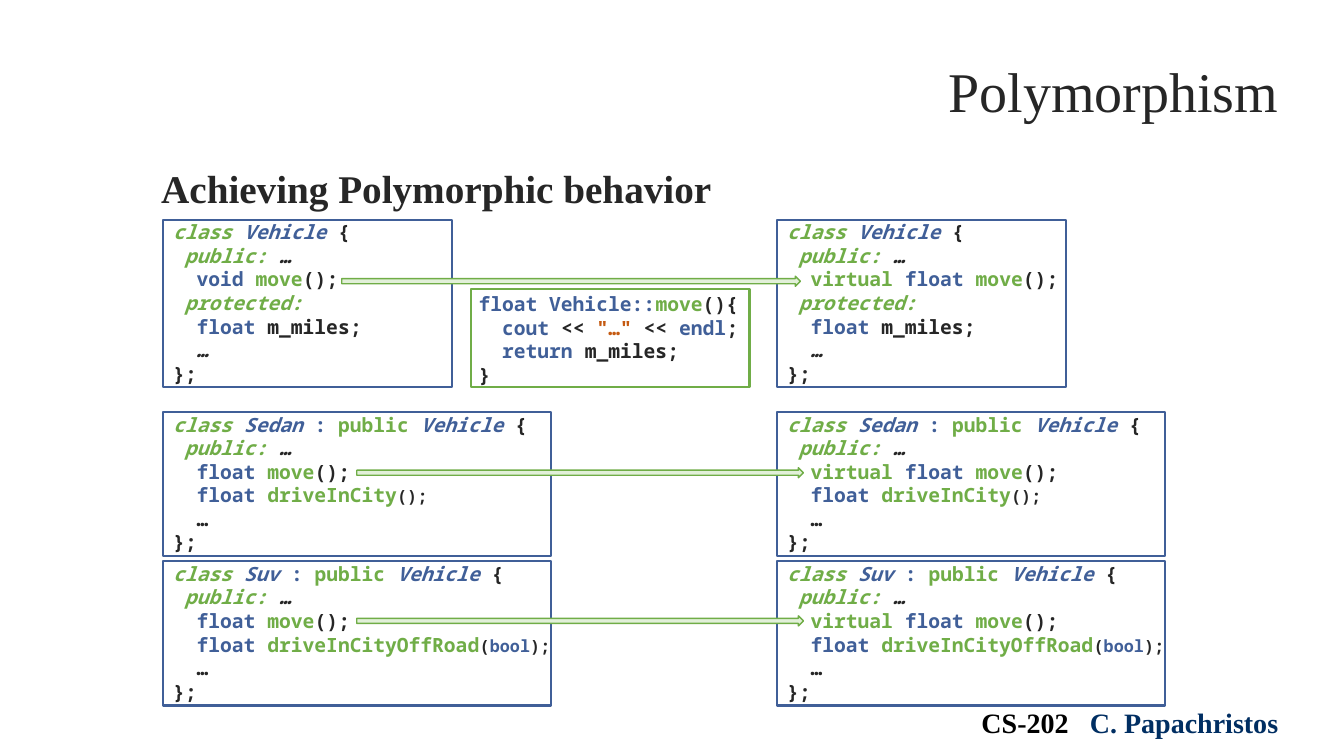
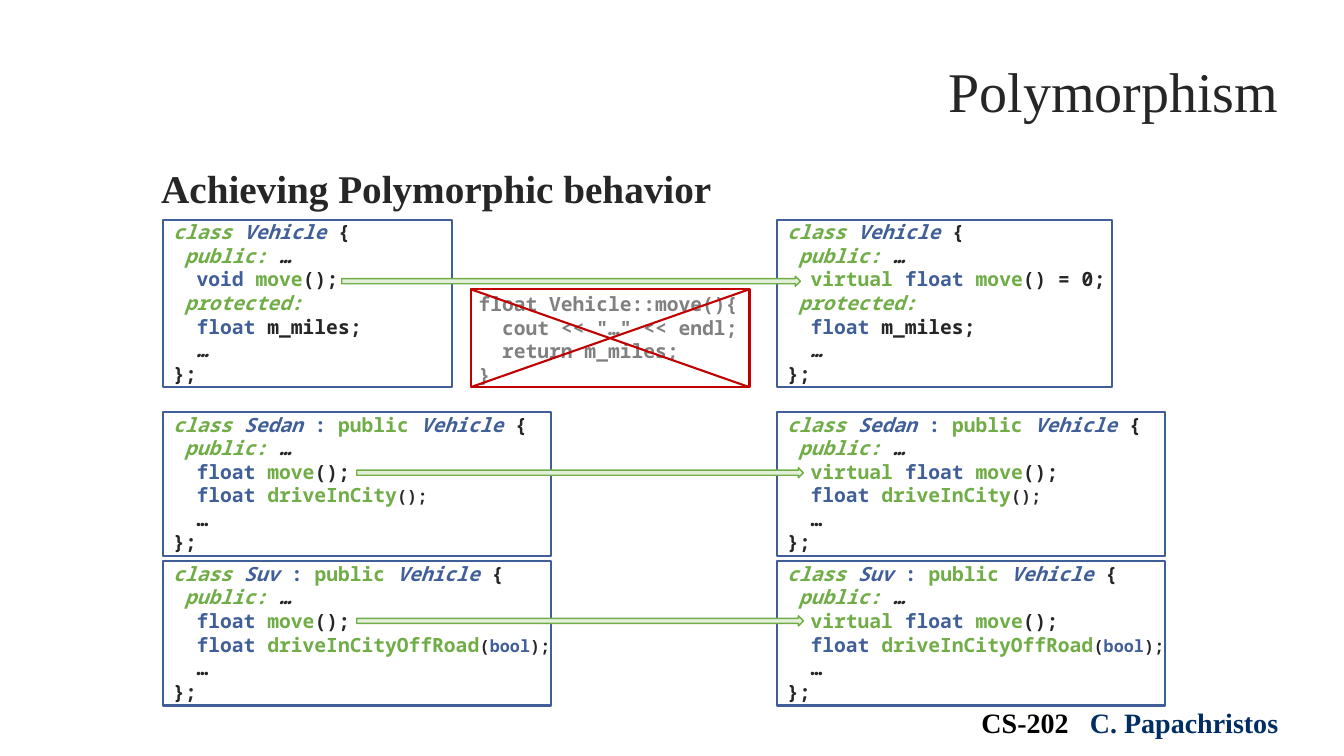
"""Build two slides on achieving polymorphic behavior in C++."""
from dataclasses import dataclass

from lxml import etree
from pptx import Presentation
from pptx.dml.color import RGBColor
from pptx.enum.shapes import MSO_CONNECTOR, MSO_SHAPE
from pptx.enum.text import MSO_ANCHOR, MSO_AUTO_SIZE, PP_ALIGN
from pptx.oxml.ns import qn
from pptx.util import Pt

RECT, ARROW = MSO_SHAPE.RECTANGLE, MSO_SHAPE.RIGHT_ARROW
STRAIGHT = MSO_CONNECTOR.STRAIGHT
LEFT, CENTER, RIGHT = PP_ALIGN.LEFT, PP_ALIGN.CENTER, PP_ALIGN.RIGHT
TOP, BOTTOM = MSO_ANCHOR.TOP, MSO_ANCHOR.BOTTOM
NO_AUTOFIT = MSO_AUTO_SIZE.NONE
TITLE_ONLY = 5


@dataclass(frozen=True)
class Theme:
    """Colours, fonts and type sizes of the deck."""
    dark: str = "262626"
    black: str = "000000"
    navy: str = "002E62"
    blue: str = "405F98"
    green: str = "70AD47"
    pale_green: str = "E2F0D9"
    orange: str = "C55A11"
    gray: str = "808080"
    red: str = "C00000"
    serif: str = "Times New Roman"
    mono: str = "Noto Sans Mono"
    title: int = 40
    heading: int = 28
    footer: int = 20
    code: int = 14
    small: int = 12
    code_pitch: float = 16.8


T = Theme()


def text_style(color, name=T.mono, size=T.code, bold=True, italic=False):
    """Return a text colour together with its font attributes."""
    return color, dict(name=name, size=Pt(size), bold=bold, italic=italic)


STYLES = {
    "title": text_style(T.dark, T.serif, T.title, bold=False),
    "heading": text_style(T.dark, T.serif, T.heading),
    "course": text_style(T.black, T.serif, T.footer),
    "author": text_style(T.navy, T.serif, T.footer),
    "plain": text_style(T.dark),
    "plain italic": text_style(T.dark, italic=True),
    "plain small": text_style(T.dark, size=T.small),
    "blue": text_style(T.blue),
    "blue italic": text_style(T.blue, italic=True),
    "blue small": text_style(T.blue, size=T.small),
    "green": text_style(T.green),
    "green italic": text_style(T.green, italic=True),
    "string": text_style(T.orange),
    "faded": text_style(T.gray),
}

COLUMN_LEFT, COLUMN_RIGHT = 116.6, 555.1
CODE_WIDTH = 285
TEXT_RISE = 3.2
BOX_LINE, ARROW_LINE = 1.5, 1
POPUP = (336.2, 206.6, 199.2, 70)


@dataclass(frozen=True)
class ClassRow:
    """One class, shown before and after the change."""
    name: str
    top: float
    width: float
    height: float
    arrow: tuple
    members: tuple = ()


ROWS = (
    ClassRow("Vehicle", 157, 206.6, 119.5, (244.1, 197.3, 327.6)),
    ClassRow("Sedan", 294.5, 277.2, 103, (254.9, 334.1, 319),
             (("green", "driveInCity"), ("plain small", "();"))),
    ClassRow("Suv", 401, 277.2, 103, (254.9, 439.9, 319),
             (("green", "driveInCityOffRoad"), ("plain small", "("),
              ("blue small", "bool"), ("plain small", ");"))),
)

MOVE_BODY = (
    (("blue", "float Vehicle::"), ("green", "move"), ("plain", "(){")),
    (("blue", "  cout"), ("plain", " << "), ("string", '"…" '),
     ("plain", "<< "), ("blue", "endl"), ("plain", ";")),
    (("blue", "  return "), ("plain", "m_miles;")),
    (("plain", "}"),),
)


def class_code(row, declaration, ending="();"):
    """Return the code lines of a class with the given move() declaration."""
    head = [("green italic", "class "), ("blue italic", row.name + " ")]
    if row.members:
        head += [("blue", ": "), ("green", "public"), ("blue italic", " Vehicle ")]
        rest = [[("blue", "  float "), *row.members], [("plain", "  …")]]
    else:
        rest = [[("green italic", " protected:")],
                [("blue", "  float "), ("plain", "m_miles;")],
                [("plain italic", "  …")]]
    return [
        head + [("plain", "{")],
        [("green italic", " public: "), ("plain italic", "…")],
        [*declaration, ("green", "move"), ("plain", ending)],
        *rest,
        [("plain", "};")],
    ]


def write(shape, lines, align=LEFT, anchor=TOP, pitch=None):
    """Fill a shape with lines of styled runs."""
    tf = shape.text_frame
    settings = dict(word_wrap=True, auto_size=NO_AUTOFIT, vertical_anchor=anchor)
    for key, value in settings.items():
        setattr(tf, key, value)
    for i, line in enumerate(lines):
        p = tf.paragraphs[0] if i == 0 else tf.add_paragraph()
        p.alignment = align
        if pitch:
            p.line_spacing = Pt(pitch)
        for style, text in line:
            r = p.add_run()
            r.text = text
            color, font = STYLES[style]
            r.font.color.rgb = RGBColor.from_string(color)
            for key, value in font.items():
                setattr(r.font, key, value)


def add_text(s, box, lines, **layout):
    """Add a text box."""
    tb = s.shapes.add_textbox(*map(Pt, box))
    write(tb, lines, **layout)
    return tb


def add_code(s, left, top, width, lines):
    """Add a block of code with fixed line pitch."""
    height = len(lines) * T.code_pitch + 7.2
    tb = add_text(s, (left, top, width, height), lines, pitch=T.code_pitch)
    tb.text_frame.margin_right = 0


def add_outline(s, kind, box, color, weight, fill=None):
    """Add an outlined preset shape, filled only on request."""
    sp = s.shapes.add_shape(kind, *map(Pt, box))
    sp.shadow.inherit = False
    sp.line.color.rgb = RGBColor.from_string(color)
    sp.line.width = Pt(weight)
    if fill:
        sp.fill.solid()
        sp.fill.fore_color.rgb = RGBColor.from_string(fill)
    else:
        sp.fill.background()


def add_line(s, x1, y1, x2, y2, color):
    """Add a straight line without a shadow."""
    line = s.shapes.add_connector(STRAIGHT, *map(Pt, (x1, y1, x2, y2)))
    line.line.color.rgb = RGBColor.from_string(color)
    line.line.width = Pt(BOX_LINE)
    etree.SubElement(line._element.spPr, qn("a:effectLst"))


def add_class(s, row, left, width, lines):
    """Add the code of a class inside its frame."""
    add_code(s, left, row.top - TEXT_RISE, CODE_WIDTH, lines)
    add_outline(s, RECT, (left, row.top, width, row.height), T.blue, BOX_LINE)


def add_frame(prs):
    """Add a slide with its title, heading and footer."""
    s = prs.slides.add_slide(prs.slide_layouts[TITLE_ONLY])
    title = s.shapes.title
    title.left, title.top, title.width, title.height = map(Pt, (76.3, 41, 843.8, 51.1))
    write(title, [[("title", "Polymorphism")]], align=RIGHT, anchor=BOTTOM)
    add_text(s, (683.3, 500.4, 247.7, 31.7),
             [[("course", "CS-202   "), ("author", "C. Papachristos")]], align=CENTER)
    add_text(s, (108, 113.8, 757.4, 40), [[("heading", "Achieving Polymorphic behavior")]])
    return s


def add_popup(s, lines, color):
    """Add the framed definition of Vehicle::move()."""
    left, top = POPUP[:2]
    add_code(s, left - 1.4, top - 1.4, 208.8, lines)
    add_outline(s, RECT, POPUP, color, BOX_LINE)


def cross_out_popup(s):
    """Draw both diagonals of the popup."""
    left, top, width, height = POPUP
    right, bottom = left + width, top + height
    add_line(s, left, top, right, bottom, T.red)
    add_line(s, left, bottom, right, top, T.red)


def add_comparison(prs, pure):
    """Add the before and after slide, with move() pure virtual or not."""
    s = add_frame(prs)
    for row in ROWS:
        kind = "float" if row.members else "void"
        add_class(s, row, COLUMN_LEFT, row.width,
                  class_code(row, [("blue", f"  {kind} ")]))
    for row in ROWS:
        is_pure = pure and not row.members
        add_class(s, row, COLUMN_RIGHT, 239 if is_pure else row.width,
                  class_code(row, [("green", "  virtual"), ("blue", " float ")],
                             "() = 0;" if is_pure else "();"))
    for row in ROWS:
        add_outline(s, ARROW, (*row.arrow, 7.2), T.green, ARROW_LINE, T.pale_green)
    if pure:
        faded = [[("faded", "".join(text for _, text in line))] for line in MOVE_BODY]
        add_popup(s, faded, T.red)
        cross_out_popup(s)
    else:
        add_popup(s, MOVE_BODY, T.green)


def main():
    """Build and save the deck."""
    prs = Presentation()
    prs.slide_width, prs.slide_height = Pt(960), Pt(540)
    for pure in (False, True):
        add_comparison(prs, pure)
    prs.save("out.pptx")


if __name__ == "__main__":
    main()
